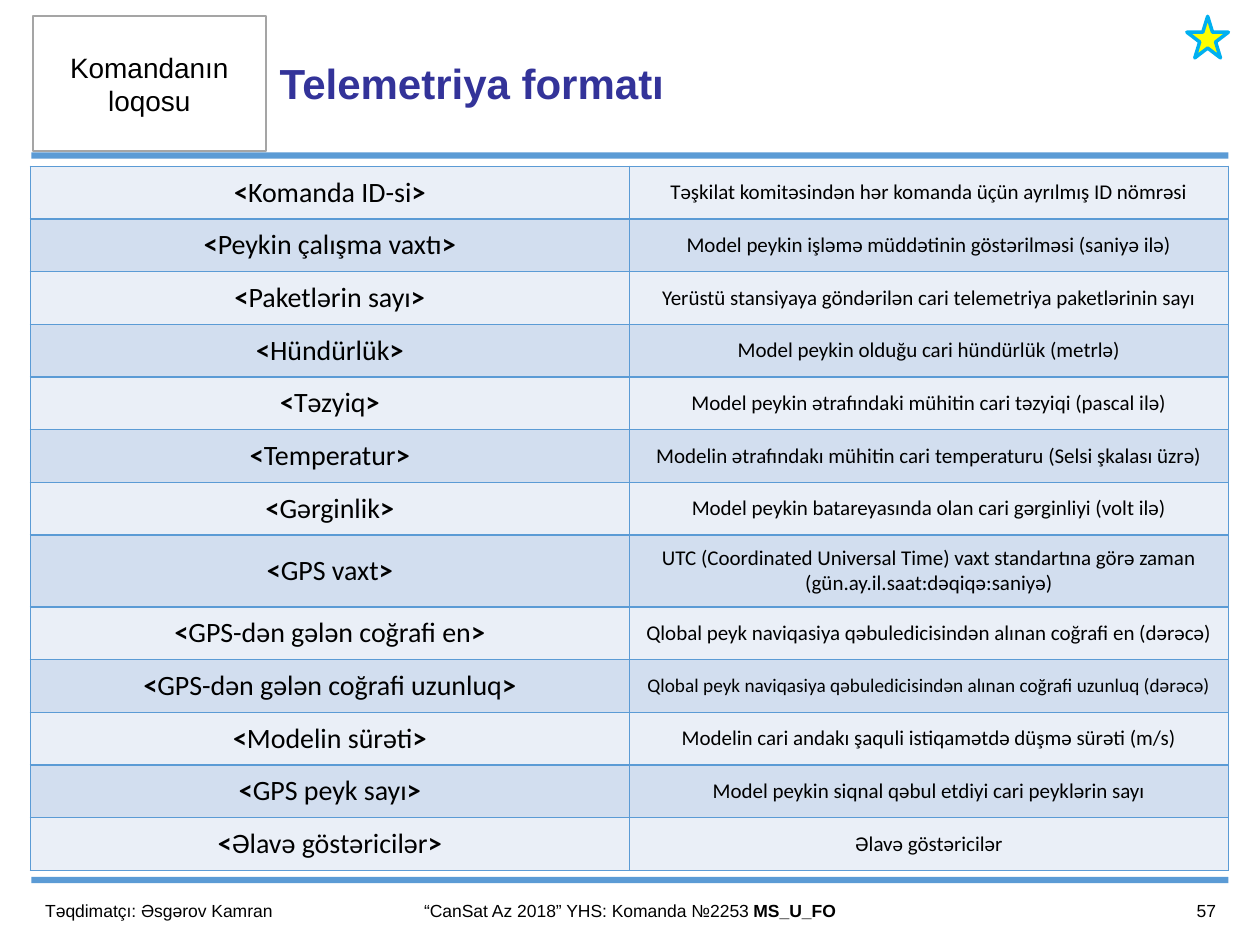
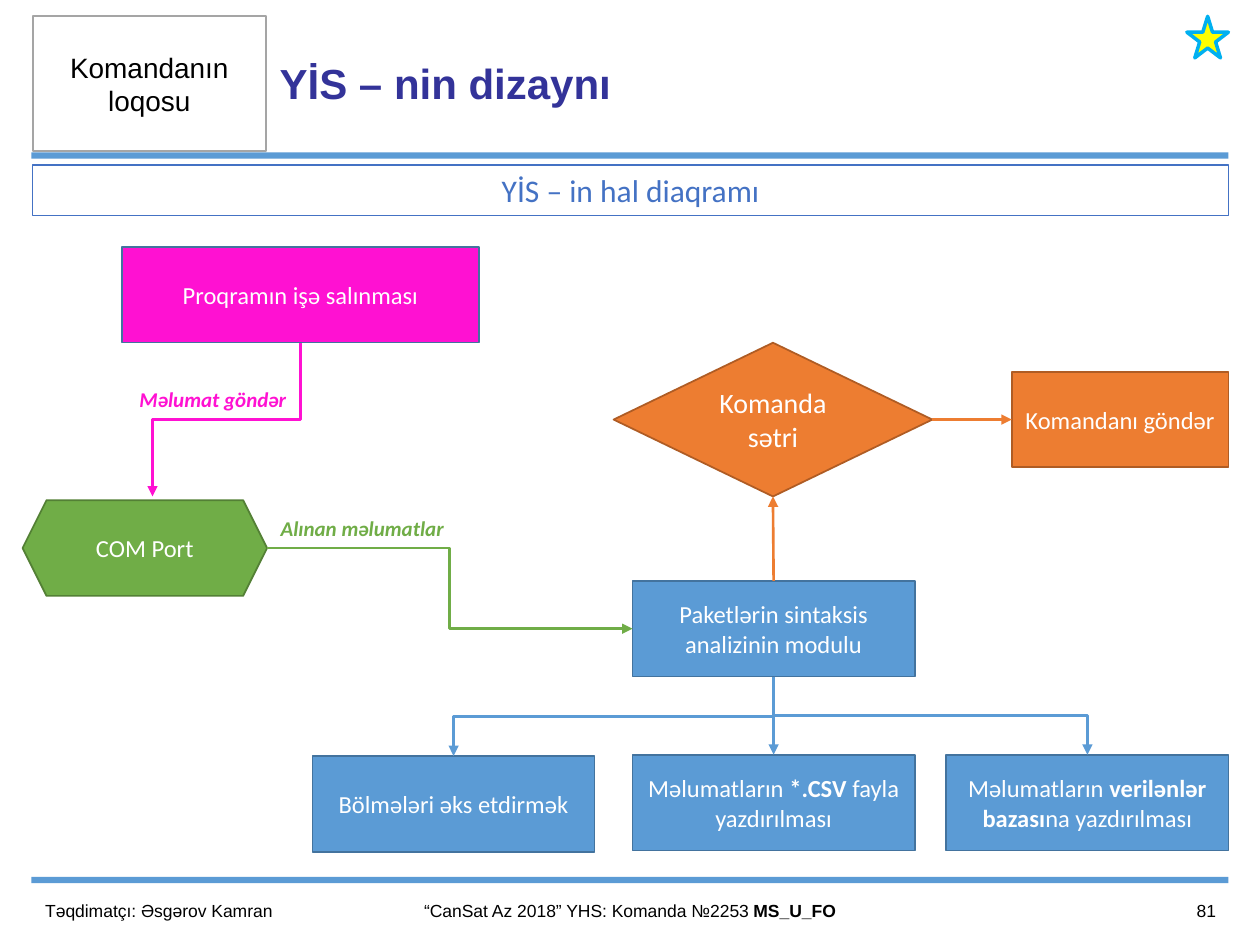
from dataclasses import dataclass

from pptx import Presentation
from pptx.dml.color import RGBColor
from pptx.enum.shapes import MSO_CONNECTOR as Connector, MSO_SHAPE as Shape
from pptx.enum.text import MSO_ANCHOR as Anchor, PP_ALIGN as Align
from pptx.oxml.ns import qn
from pptx.oxml.xmlchemy import OxmlElement
from pptx.util import Inches, Pt


@dataclass(frozen=True)
class Theme:
    heading_font: str = "Arial"
    body_font: str = "Calibri"
    black: str = "000000"
    white: str = "FFFFFF"
    navy: str = "333399"
    blue: str = "5B9BD5"
    blue_edge: str = "43739E"
    caption_blue: str = "4472C4"
    gray: str = "A5A5A5"
    pink: str = "FF11D2"
    green: str = "70AD47"
    green_edge: str = "538035"
    orange: str = "ED7D31"
    orange_edge: str = "AF5C24"
    yellow: str = "FFFF00"
    sky: str = "00B0F0"
    row_fills: tuple = ("EAEFF7", "D2DEEF")
    title: int = 24
    caption: int = 18
    large: int = 16
    node: int = 14
    label: int = 12
    small: int = 11
    footer: int = 10


THEME = Theme()

# Content: text between bars is bold
LOGO_TEXT = "Komandanın loqosu"
PRESENTER = "Təqdimatçı: Əsgərov Kamran"
EVENT = "“CanSat Az 2018” YHS: Komanda №2253 |MS_U_FO|"

TELEMETRY_TITLE, TELEMETRY_NUMBER = "Telemetriya formatı", 57
TELEMETRY = [
    ("Komanda ID-si", "Təşkilat komitəsindən hər komanda üçün ayrılmış ID nömrəsi"),
    ("Peykin çalışma vaxtı", "Model peykin işləmə müddətinin göstərilməsi (saniyə ilə)"),
    ("Paketlərin sayı", "Yerüstü stansiyaya göndərilən cari telemetriya paketlərinin sayı"),
    ("Hündürlük", "Model peykin olduğu cari hündürlük (metrlə)"),
    ("Təzyiq", "Model peykin ətrafındaki mühitin cari təzyiqi (pascal ilə)"),
    ("Temperatur", "Modelin ətrafındakı mühitin cari temperaturu (Selsi şkalası üzrə)"),
    ("Gərginlik", "Model peykin batareyasında olan cari gərginliyi (volt ilə)"),
    ("GPS vaxt", "UTC (Coordinated Universal Time) vaxt standartına görə zaman "
                 "(gün.ay.il.saat:dəqiqə:saniyə)"),
    ("GPS-dən gələn coğrafi en",
     "Qlobal peyk naviqasiya qəbuledicisindən alınan coğrafi en (dərəcə)"),
    ("GPS-dən gələn coğrafi uzunluq",
     "Qlobal peyk naviqasiya qəbuledicisindən alınan coğrafi uzunluq (dərəcə)"),
    ("Modelin sürəti", "Modelin cari andakı şaquli istiqamətdə düşmə sürəti (m/s)"),
    ("GPS peyk sayı", "Model peykin siqnal qəbul etdiyi cari peyklərin sayı"),
    ("Əlavə göstəricilər", "Əlavə göstəricilər"),
]
TABLE_AREA = (0.24, 1.32, 9.51, 5.59)
TALL_ROW, TALL_HEIGHT = 7, 0.57
LONG_TEXT = 70  # descriptions longer than this on one line are set smaller

DESIGN_TITLE, DESIGN_NUMBER = "YİS – nin dizaynı", 81
DIAGRAM_CAPTION = "YİS – in hal diaqramı"
NODE_HEIGHT = 0.76
MODULE_WIDTH = 2.24
BLUE = (THEME.blue, THEME.blue_edge)
ORANGE = (THEME.orange, THEME.orange_edge)

# Name: text, preset, area, (fill, edge), type size
NODES = {
    "port": ("COM Port", Shape.HEXAGON, (0.18, 3.97, 1.94, NODE_HEIGHT),
             (THEME.green, THEME.green_edge), THEME.node),
    "start": ("Proqramın işə salınması", Shape.RECTANGLE, (0.97, 1.96, 2.83, NODE_HEIGHT),
              (THEME.pink, THEME.blue_edge), THEME.node),
    "parser": ("Paketlərin sintaksis analizinin modulu", Shape.RECTANGLE,
               (5.02, 4.61, MODULE_WIDTH, NODE_HEIGHT), BLUE, THEME.node),
    "display": ("Bölmələri əks etdirmək", Shape.RECTANGLE,
                (2.48, 6, MODULE_WIDTH, NODE_HEIGHT), BLUE, THEME.node),
    "csv": ("Məlumatların| *.CSV |fayla yazdırılması", Shape.RECTANGLE,
            (5.02, 5.99, MODULE_WIDTH, NODE_HEIGHT), BLUE, THEME.node),
    "database": ("Məlumatların |verilənlər bazası|na yazdırılması", Shape.RECTANGLE,
                 (7.51, 5.99, MODULE_WIDTH, NODE_HEIGHT), BLUE, THEME.node),
    "command": ("Komanda sətri", Shape.DIAMOND, (4.87, 2.72, 2.53, 1.22),
                ORANGE, THEME.large),
    "send": ("Komandanı göndər", Shape.RECTANGLE, (8.03, 2.95, 1.72, NODE_HEIGHT),
             ORANGE, THEME.node),
}
TOP, LEFT, BOTTOM, RIGHT = range(4)
PORT_ENTRY = (1.21, 3.94)
# Start, end (a node's side or a point), colour
LINKS = [
    (("start", BOTTOM), PORT_ENTRY, THEME.pink),
    (("port", RIGHT), ("parser", LEFT), THEME.green),
    (("parser", TOP), ("command", BOTTOM), THEME.orange),
    (("command", RIGHT), ("send", LEFT), THEME.orange),
    (("parser", BOTTOM), ("display", TOP), THEME.blue),
    (("parser", BOTTOM), ("database", TOP), THEME.blue),
    (("parser", BOTTOM), ("csv", TOP), THEME.blue),
]
LINK_LABELS = [
    ("Məlumat göndər", (0.97, 3.02, 1.44, 0.3), THEME.pink),
    ("Alınan məlumatlar", (2.12, 4.04, 1.51, 0.3), THEME.green),
]


# Shared helpers
def rgb(color):
    return RGBColor.from_string(color)


def inches(area):
    return [Inches(value) for value in area]


def write(frame, text, size, color, font=THEME.body_font, align=Align.CENTER,
          bold=False, italic=False):
    frame.word_wrap = True
    frame.vertical_anchor = Anchor.MIDDLE
    para = frame.paragraphs[0]
    para.alignment = align
    for index, piece in enumerate(text.split("|")):
        if piece:
            span = para.add_run()
            span.text = piece
            span.font.name = font
            span.font.size = Pt(size)
            span.font.color.rgb = rgb(color)
            span.font.bold = bold or index % 2 == 1
            span.font.italic = italic


def add_box(page, preset, area, fill=None, edge=None, weight=1):
    box = page.shapes.add_shape(preset, *inches(area))
    box.shadow.inherit = False
    if fill:
        box.fill.solid()
        box.fill.fore_color.rgb = rgb(fill)
    else:
        box.fill.background()
    if edge:
        box.line.color.rgb = rgb(edge)
        box.line.width = Pt(weight)
    else:
        box.line.fill.background()
    return box


def add_label(page, text, area, size, color, **style):
    write(page.shapes.add_textbox(*inches(area)).text_frame, text, size, color, **style)


def add_page(deck, title, number):
    """Start a slide with the shared title, bands, logo box, star and footer."""
    page = deck.slides.add_slide(deck.slide_layouts[5])
    heading = page.shapes.title
    heading.left, heading.top, heading.width, heading.height = inches((2.12, 0.13, 6, 1.06))
    write(heading.text_frame, title, THEME.title, THEME.navy, THEME.heading_font,
          Align.LEFT, bold=True)
    for top in (1.21, 6.96):
        add_box(page, Shape.RECTANGLE, (0.25, top, 9.5, 0.05), THEME.blue)
    logo = add_box(page, Shape.RECTANGLE, (0.26, 0.13, 1.85, 1.07), THEME.white, THEME.gray)
    write(logo.text_frame, LOGO_TEXT, THEME.large, THEME.black, THEME.heading_font)
    add_box(page, Shape.STAR_5_POINT, (9.42, 0.13, 0.33, 0.33), THEME.yellow, THEME.sky, 2)
    for text, left, width, align in (
        (PRESENTER, 0.26, 2.39, Align.LEFT),
        (EVENT, 2.65, 4.7, Align.CENTER),
        (str(number), 8.75, 1, Align.RIGHT),
    ):
        add_label(page, text, (left, 7.03, width, 0.4), THEME.footer, THEME.black,
                  font=THEME.heading_font, align=align)
    return page


# Telemetry table
def outline_cell(cell, color):
    properties = cell._tc.get_or_add_tcPr()
    for index, side in enumerate(("a:lnL", "a:lnR", "a:lnT", "a:lnB")):
        border = OxmlElement(side)
        border.set("w", str(Pt(1)))
        fill = OxmlElement("a:solidFill")
        value = OxmlElement("a:srgbClr")
        value.set("val", color)
        fill.append(value)
        border.append(fill)
        properties.insert(index, border)


def add_telemetry_table(page):
    table = page.shapes.add_table(len(TELEMETRY), 2, *inches(TABLE_AREA)).table
    table.first_row = table.horz_banding = False
    row_height = (TABLE_AREA[3] - TALL_HEIGHT) / (len(TELEMETRY) - 1)
    for index, (field, meaning) in enumerate(TELEMETRY):
        tall = index == TALL_ROW
        table.rows[index].height = Inches(TALL_HEIGHT if tall else row_height)
        small = len(meaning) > LONG_TEXT and not tall
        texts = ((f"|<|{field}|>|", THEME.large),
                 (meaning, THEME.small if small else THEME.label))
        for column, (text, size) in enumerate(texts):
            cell = table.cell(index, column)
            cell.fill.solid()
            cell.fill.fore_color.rgb = rgb(THEME.row_fills[index % 2])
            cell.vertical_anchor = Anchor.MIDDLE
            write_cell = cell.text_frame
            write(write_cell, text, size, THEME.black)
            outline_cell(cell, THEME.blue)


# State diagram
def end_point(end):
    if end[0] not in NODES:
        return end
    name, side = end
    left, top, width, height = NODES[name][2]
    across, down = {TOP: (0.5, 0), LEFT: (0, 0.5), BOTTOM: (0.5, 1), RIGHT: (1, 0.5)}[side]
    return left + width * across, top + height * down


def turn_downward(connector, start, end):
    """Make an elbow leave and arrive vertically."""
    (x1, y1), (x2, y2) = start, end
    length, spread = y2 - y1, abs(x2 - x1)
    connector.left = Inches((x1 + x2 - length) / 2)
    connector.top = Inches((y1 + y2 - spread) / 2)
    connector.width, connector.height = Inches(length), Inches(spread)
    frame = connector._element.spPr.find(qn("a:xfrm"))
    for flip in ("flipH", "flipV"):
        frame.attrib.pop(flip, None)
    if x2 > x1:
        frame.set("flipH", "1")
    frame.set("rot", str((270 if x2 > x1 else 90) * 60000))


def add_link(page, boxes, start, end, color):
    first, last = end_point(start), end_point(end)
    straight = min(abs(first[0] - last[0]), abs(first[1] - last[1])) < 0.02
    kind = Connector.STRAIGHT if straight else Connector.ELBOW
    connector = page.shapes.add_connector(kind, *inches(first + last))
    for join, stop in ((connector.begin_connect, start), (connector.end_connect, end)):
        # Hexagon sites are numbered differently, so its end stays free
        if stop[0] in boxes and stop[0] != "port":
            join(boxes[stop[0]], stop[1])
    if not straight and start[1] == BOTTOM:
        turn_downward(connector, first, last)
    connector.line.color.rgb = rgb(color)
    connector.line.width = Pt(1.5)
    arrow = OxmlElement("a:tailEnd")
    arrow.set("type", "triangle")
    connector.line._get_or_add_ln().append(arrow)
    connector._element.spPr.append(OxmlElement("a:effectLst"))


def add_state_diagram(page):
    caption = add_box(page, Shape.RECTANGLE, (0.26, 1.31, 9.49, 0.4),
                      edge=THEME.caption_blue, weight=0.75)
    write(caption.text_frame, DIAGRAM_CAPTION, THEME.caption, THEME.caption_blue)
    boxes = {}
    for name, (text, preset, area, colors, size) in NODES.items():
        boxes[name] = add_box(page, preset, area, *colors)
        write(boxes[name].text_frame, text, size, THEME.white)
    for link in LINKS:
        add_link(page, boxes, *link)
    for text, area, color in LINK_LABELS:
        add_label(page, text, area, THEME.label, color, bold=True, italic=True)


def main():
    deck = Presentation()
    deck.slide_width, deck.slide_height = Inches(10), Inches(7.5)
    add_telemetry_table(add_page(deck, TELEMETRY_TITLE, TELEMETRY_NUMBER))
    add_state_diagram(add_page(deck, DESIGN_TITLE, DESIGN_NUMBER))
    deck.save("out.pptx")


if __name__ == "__main__":
    main()
